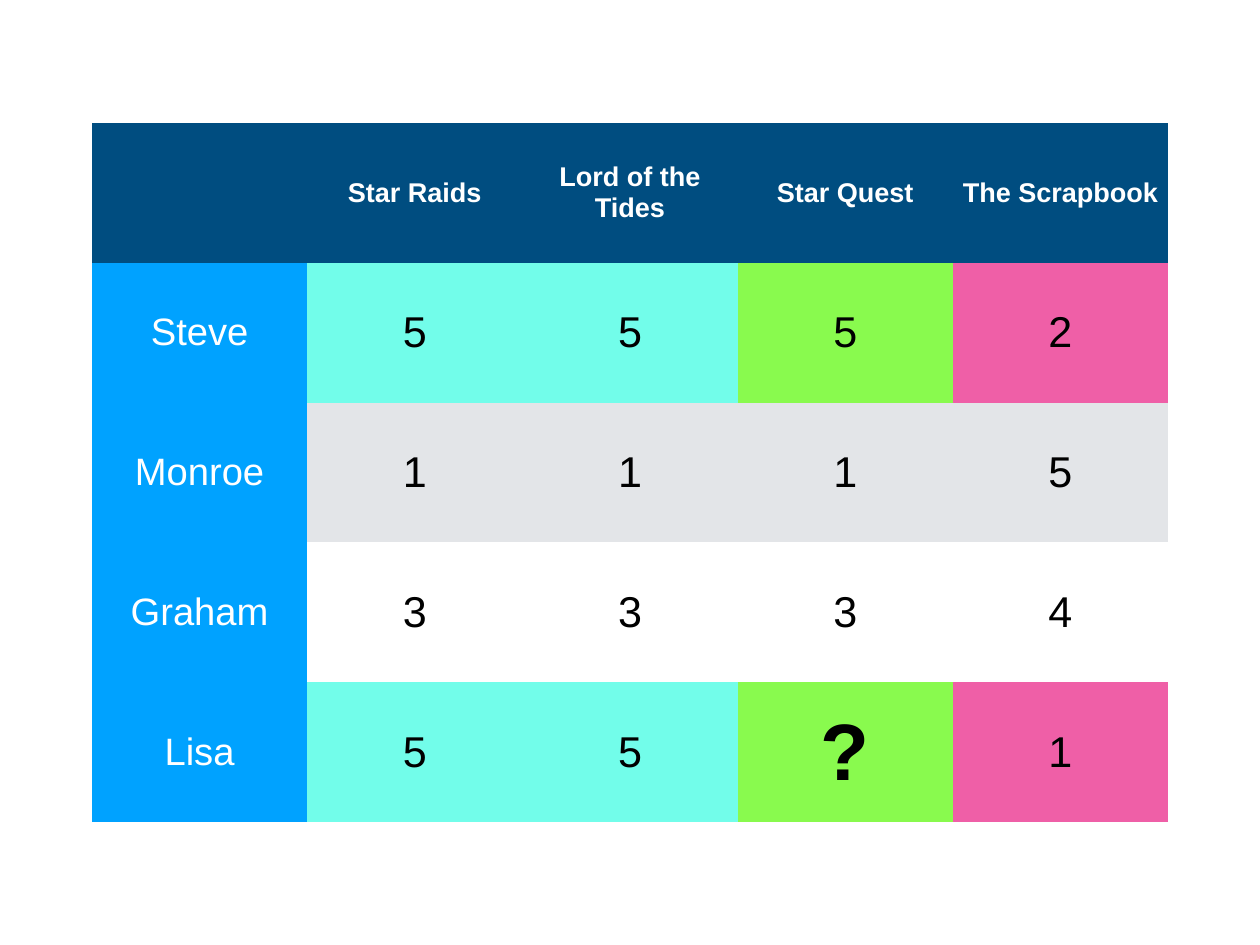
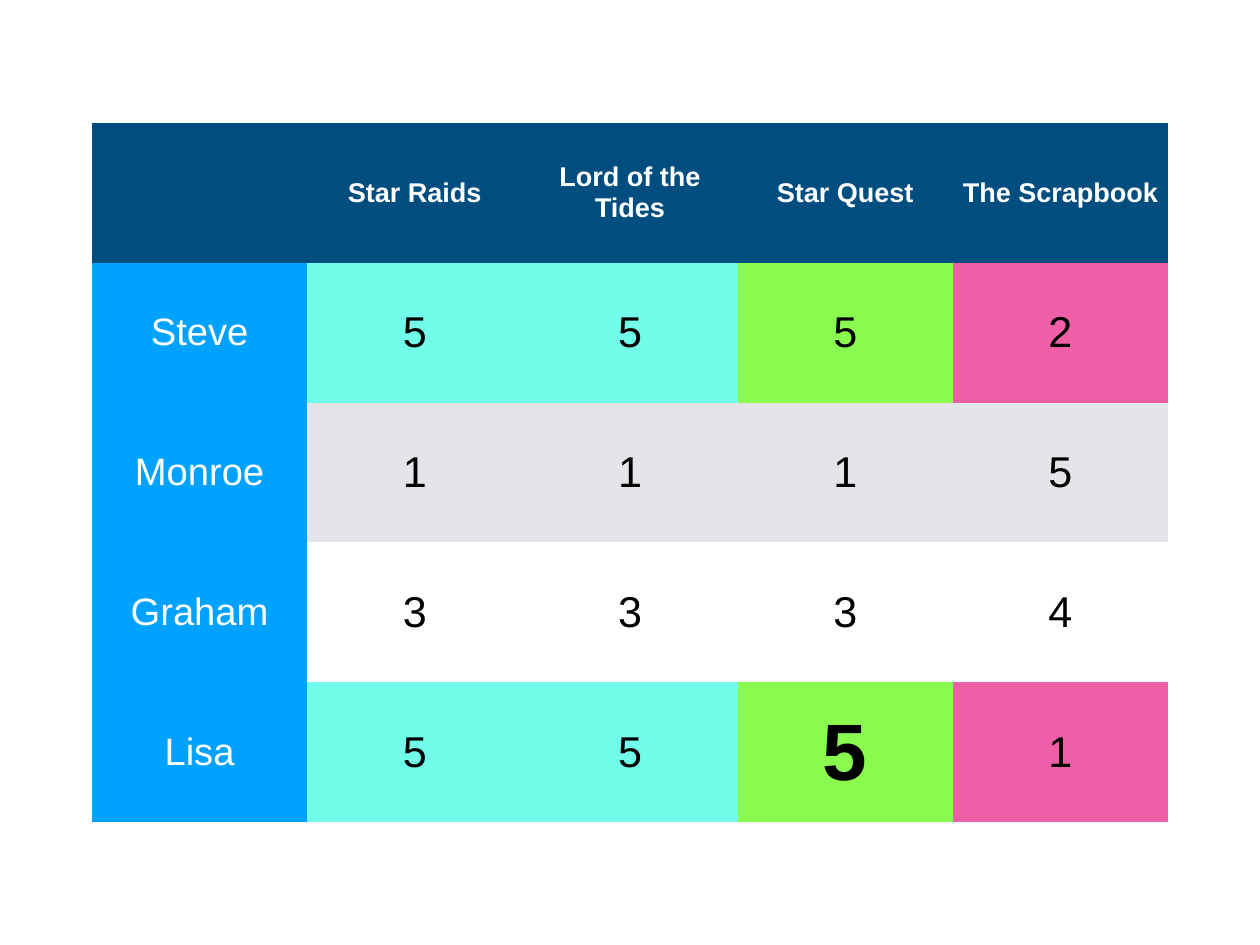
import dataclasses

import pptx
import pptx.dml.color
import pptx.enum.text
import pptx.oxml.ns
import pptx.util

Cm = pptx.util.Cm


@dataclasses.dataclass(frozen=True)
class Theme:
    font: str = "Arial"
    header: str = "004D80"
    viewer: str = "00A2FF"
    liked: str = "72FDEA"
    predicted: str = "89FA4E"
    disliked: str = "EF5FA7"
    band: str = "E3E5E8"
    light: str = "FFFFFF"
    dark: str = "000000"
    header_size: int = 22
    viewer_size: int = 31
    rating_size: int = 35
    answer_size: int = 65
    no_grid: str = "{2D5ABB26-0587-4C30-8999-92F81FD0307C}"


theme = Theme()


def fill_cell(cell, text, fill, size, color, bold=False):
    cell.fill.solid()
    cell.fill.fore_color.rgb = pptx.dml.color.RGBColor.from_string(fill)
    cell.margin_left = cell.margin_right = Cm(0.14)
    cell.margin_top = cell.margin_bottom = Cm(0.14)
    cell.vertical_anchor = pptx.enum.text.MSO_ANCHOR.MIDDLE
    if not text:
        return
    paragraph = cell.text_frame.paragraphs[0]
    paragraph.alignment = pptx.enum.text.PP_ALIGN.CENTER
    run = paragraph.add_run()
    run.text = text
    run.font.name = theme.font
    run.font.size = pptx.util.Pt(size)
    run.font.bold = bold
    run.font.color.rgb = pptx.dml.color.RGBColor.from_string(color)


# Films, ratings and the colours of each viewer's row
films = ["", "Star Raids", "Lord of the Tides", "Star Quest", "The Scrapbook"]
matching = [theme.liked, theme.liked, theme.predicted, theme.disliked]
viewers = [
    ("Steve", ["5", "5", "5", "2"], matching),
    ("Monroe", ["1", "1", "1", "5"], [theme.band] * 4),
    ("Graham", ["3", "3", "3", "4"], [theme.light] * 4),
    ("Lisa", ["5", "5", None, "1"], matching),
]

# Slide size and a centred grid
slide_width, slide_height = 36.12, 27.09
column_width, row_height = 6.17, 4.01
grid_width = column_width * len(films)
grid_height = row_height * (len(viewers) + 1)

deck = pptx.Presentation()
deck.slide_width, deck.slide_height = Cm(slide_width), Cm(slide_height)

# One slide asks for Lisa's missing rating, the next one gives it
for answer in ["?", "5"]:
    slide = deck.slides.add_slide(deck.slide_layouts[6])
    ratings_table = slide.shapes.add_table(
        len(viewers) + 1, len(films),
        Cm((slide_width - grid_width) / 2), Cm((slide_height - grid_height) / 2),
        Cm(grid_width), Cm(grid_height)).table
    ratings_table.horz_banding = False
    style_id = ratings_table._tbl.tblPr.find(pptx.oxml.ns.qn("a:tableStyleId"))
    style_id.text = theme.no_grid
    for column in ratings_table.columns:
        column.width = Cm(column_width)
    for row in ratings_table.rows:
        row.height = Cm(row_height)

    # Header row
    for column_number, film in enumerate(films):
        fill_cell(ratings_table.cell(0, column_number), film,
                  theme.header, theme.header_size, theme.light, bold=True)

    # Viewer names and their ratings
    for row_number, (viewer, ratings, fills) in enumerate(viewers, start=1):
        fill_cell(ratings_table.cell(row_number, 0), viewer,
                  theme.viewer, theme.viewer_size, theme.light)
        for column_number, (rating, fill) in enumerate(zip(ratings, fills), start=1):
            missing = rating is None
            fill_cell(ratings_table.cell(row_number, column_number),
                      answer if missing else rating, fill,
                      theme.answer_size if missing else theme.rating_size,
                      theme.dark, bold=missing)

deck.save("out.pptx")
